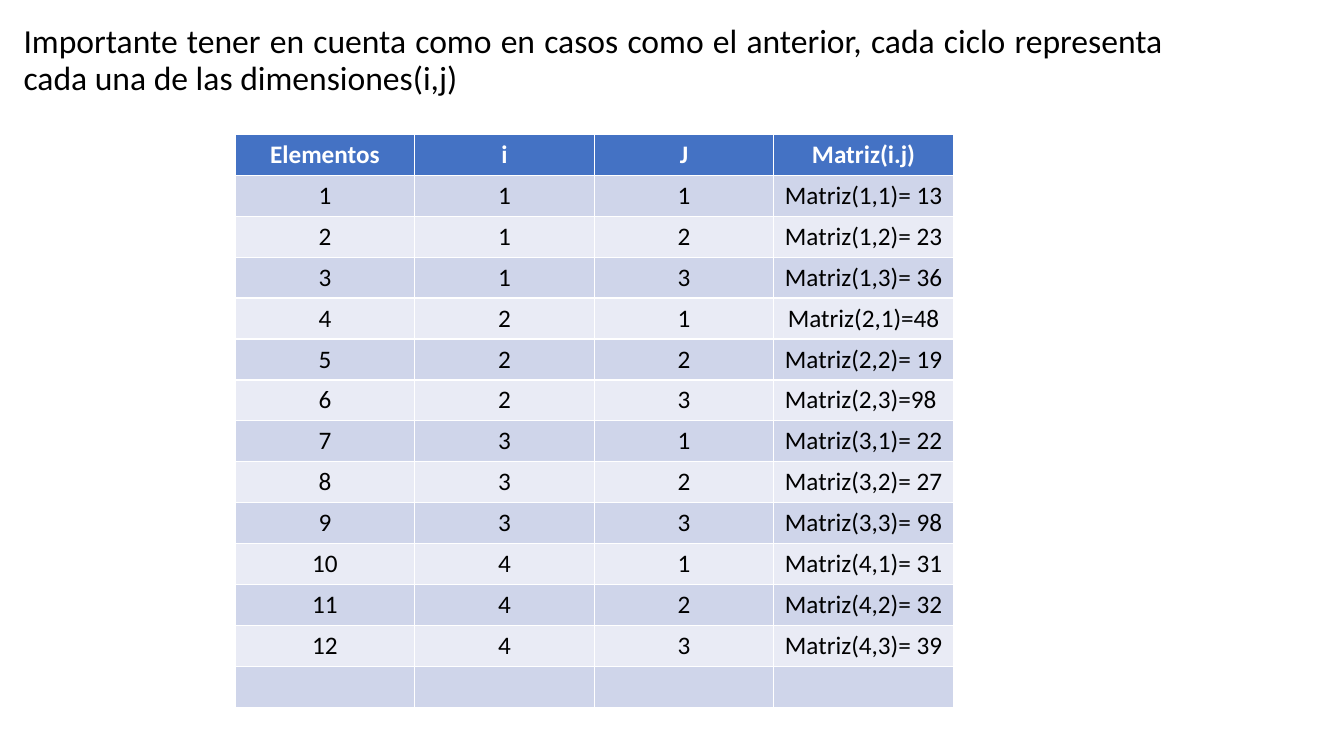
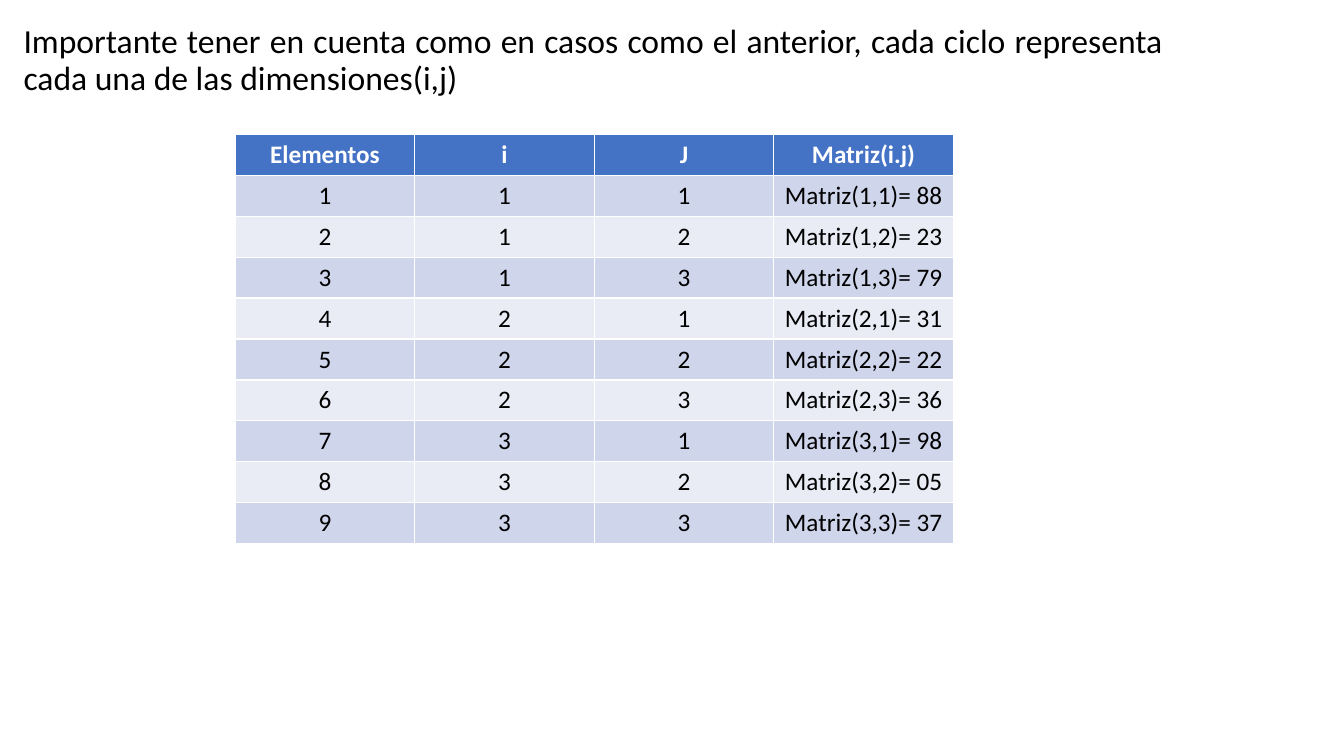
from pptx import Presentation
from pptx.dml.color import RGBColor
from pptx.enum.text import MSO_ANCHOR, PP_ALIGN
from pptx.util import Pt

PX = 9525
FONT = "Calibri"
WHITE = RGBColor(0xFF, 0xFF, 0xFF)
BLACK = RGBColor(0x00, 0x00, 0x00)
BLUE = RGBColor(0x44, 0x72, 0xC4)
BAND_DARK = RGBColor(0xCF, 0xD5, 0xEA)
BAND_LIGHT = RGBColor(0xE9, 0xEB, 0xF5)
CENTER = PP_ALIGN.CENTER
JUSTIFY = PP_ALIGN.JUSTIFY
TOP = MSO_ANCHOR.TOP

INTRO = ("Importante tener en cuenta como en casos como el anterior, "
         "cada ciclo representa cada una de las dimensiones(i,j)")
HEADER = ["Elementos", "i", "J", "Matriz(i.j)"]
MATRIX_COLS = 3
COL_W, ROW_H = 171, 39

SLIDES = [
    ([" 13", " 23", " 36", "48", " 19", "98 ",
      " 22", " 27", " 98", " 31", " 32", " 39"], 1),
    ([" 88", " 23", " 79", " 31", " 22", " 36", " 98", " 05", " 37"], 0),
]


def style(p, size, color, align, bold=False):
    p.alignment = align
    p.font.name = FONT
    p.font.size = Pt(size)
    p.font.bold = bold
    p.font.color.rgb = color


prs = Presentation()
prs.slide_width, prs.slide_height = 1280 * PX, 720 * PX

for values, empty_rows in SLIDES:
    s = prs.slides.add_slide(prs.slide_layouts[6])

    tf = s.shapes.add_textbox(13 * PX, 19 * PX, 1104 * PX, 611 * PX).text_frame
    tf.word_wrap = True
    tf.vertical_anchor = TOP
    p = tf.paragraphs[0]
    p.text = INTRO
    p.line_spacing = 0.9
    p.space_before = Pt(10)
    style(p, 24, BLACK, JUSTIFY)

    rows = [HEADER]
    for n, value in enumerate(values):
        i, j = n // MATRIX_COLS + 1, n % MATRIX_COLS + 1
        rows.append([str(n + 1), str(i), str(j), f"Matriz({i},{j})={value}"])
    rows += [[""] * len(HEADER)] * empty_rows

    table = s.shapes.add_table(
        len(rows), len(HEADER), 224 * PX, 128 * PX,
        len(HEADER) * COL_W * PX, len(rows) * ROW_H * PX).table
    for r, row in enumerate(rows):
        is_header = r == 0
        fill = BLUE if is_header else BAND_DARK if r % 2 else BAND_LIGHT
        for c, text in enumerate(row):
            cell = table.cell(r, c)
            cell.fill.solid()
            cell.fill.fore_color.rgb = fill
            p = cell.text_frame.paragraphs[0]
            p.text = text
            style(p, 18, WHITE if is_header else BLACK, CENTER, is_header)

prs.save("out.pptx")
